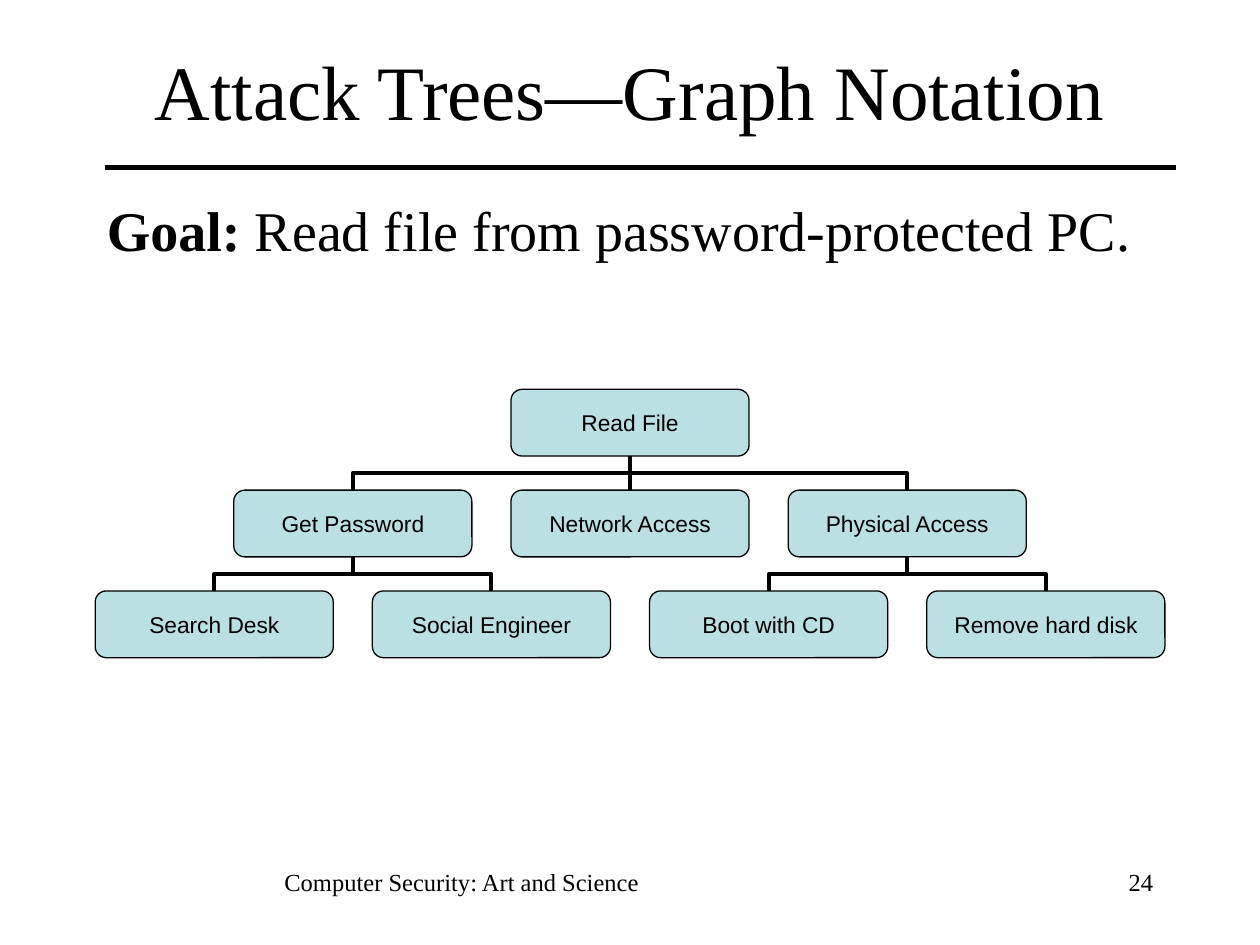
from lxml.etree import SubElement
from pptx import Presentation
from pptx.dml.color import RGBColor
from pptx.enum.shapes import MSO_CONNECTOR, MSO_SHAPE
from pptx.enum.text import MSO_ANCHOR, PP_ALIGN
from pptx.oxml.ns import qn
from pptx.util import Inches, Pt

BLACK = "000000"
BOX_FILL = "BBE0E3"
SERIF = "Times New Roman"


def color(hex_string):
    return RGBColor.from_string(hex_string)


def add_run(paragraph, text, size, font=SERIF, bold=False):
    run = paragraph.add_run()
    run.text = text
    run.font.name = font
    run.font.size = Pt(size)
    run.font.bold = bold
    run.font.color.rgb = color(BLACK)


presentation = Presentation()
presentation.slide_width = Inches(10)
presentation.slide_height = Inches(7.5)
slide = presentation.slides.add_slide(presentation.slide_layouts[5])
shapes = slide.shapes

# Title
title = shapes.title
title.left, title.top = Inches(0.75), Inches(0.17)
title.width, title.height = Inches(8.5), Inches(1.08)
title.text_frame.vertical_anchor = MSO_ANCHOR.MIDDLE
title_paragraph = title.text_frame.paragraphs[0]
title_paragraph.alignment = PP_ALIGN.CENTER
add_run(title_paragraph, "Attack Trees—Graph Notation", 44)

# Goal, footer and slide number
texts = [
    (0.75, 1.5, 8.58, 0.99, PP_ALIGN.LEFT, 32, [("Goal:", True), (" Read file from password-protected PC.", False)]),
    (0.75, 6.83, 5.83, 0.5, PP_ALIGN.CENTER, 14, [("Computer Security: Art and Science", False)]),
    (7.17, 6.83, 2.08, 0.5, PP_ALIGN.RIGHT, 14, [("24", False)]),
]
for left, top, width, height, alignment, size, runs in texts:
    text_box = shapes.add_textbox(Inches(left), Inches(top), Inches(width), Inches(height))
    text_box.text_frame.word_wrap = True
    paragraph = text_box.text_frame.paragraphs[0]
    paragraph.alignment = alignment
    if size == 32:
        paragraph.space_before = Pt(8)
    for text, bold in runs:
        add_run(paragraph, text, size, bold=bold)

# Tree nodes: name, parent, level, half-columns from the slide's centre
nodes = [
    ("Read File", None, 0, 0),
    ("Get Password", "Read File", 1, -2),
    ("Network Access", "Read File", 1, 0),
    ("Physical Access", "Read File", 1, 2),
    ("Search Desk", "Get Password", 2, -3),
    ("Social Engineer", "Get Password", 2, -1),
    ("Boot with CD", "Physical Access", 2, 1),
    ("Remove hard disk", "Physical Access", 2, 3),
]
box_width, box_height = Inches(1.89), Inches(0.53)
boxes = {}
for name, parent, level, offset in nodes:
    left = Inches(5 + 1.1 * offset) - box_width // 2
    top = Inches(3.09 + 0.8 * level)
    box = shapes.add_shape(MSO_SHAPE.ROUNDED_RECTANGLE, left, top, box_width, box_height)
    box.shadow.inherit = False
    box.fill.solid()
    box.fill.fore_color.rgb = color(BOX_FILL)
    box.line.color.rgb = color(BLACK)
    box.line.width = Pt(0.75)
    frame = box.text_frame
    frame.word_wrap = False
    frame.vertical_anchor = MSO_ANCHOR.MIDDLE
    frame.margin_left = frame.margin_right = Inches(0.07)
    frame.margin_top = frame.margin_bottom = Inches(0.04)
    frame.paragraphs[0].alignment = PP_ALIGN.CENTER
    add_run(frame.paragraphs[0], name, 13, font="Arial")
    boxes[name] = box

# Lines: the rule under the title, then one branch from each parent to each child
rule = shapes.add_connector(
    MSO_CONNECTOR.STRAIGHT, Inches(0.83), Inches(1.33), Inches(9.33), Inches(1.33))
lines = [(rule, 3)]
for name, parent, level, offset in nodes:
    if parent is None:
        continue
    start, end = boxes[parent], boxes[name]
    across = end.left - start.left
    down = end.top - start.top - box_height
    kind = MSO_CONNECTOR.ELBOW if across else MSO_CONNECTOR.STRAIGHT
    branch = shapes.add_connector(kind, 0, 0, 0, 0)
    branch.begin_connect(start, 2)
    branch.end_connect(end, 0)
    if across:
        # An elbow runs sideways first, so it is turned to leave downwards
        middle_x = start.left + box_width // 2 + across // 2
        middle_y = end.top - down // 2
        branch.width, branch.height = down, abs(across)
        branch.left = middle_x - down // 2
        branch.top = middle_y - abs(across) // 2
        transform = branch._element.spPr.find(qn("a:xfrm"))
        transform.set("rot", "16200000" if across > 0 else "5400000")
        transform.set("flipH", "1" if across > 0 else "0")
        transform.set("flipV", "0")
    lines.append((branch, 2.25))

for line, weight in lines:
    line.line.color.rgb = color(BLACK)
    line.line.width = Pt(weight)
    SubElement(line._element.spPr, qn("a:effectLst"))

presentation.save("out.pptx")
